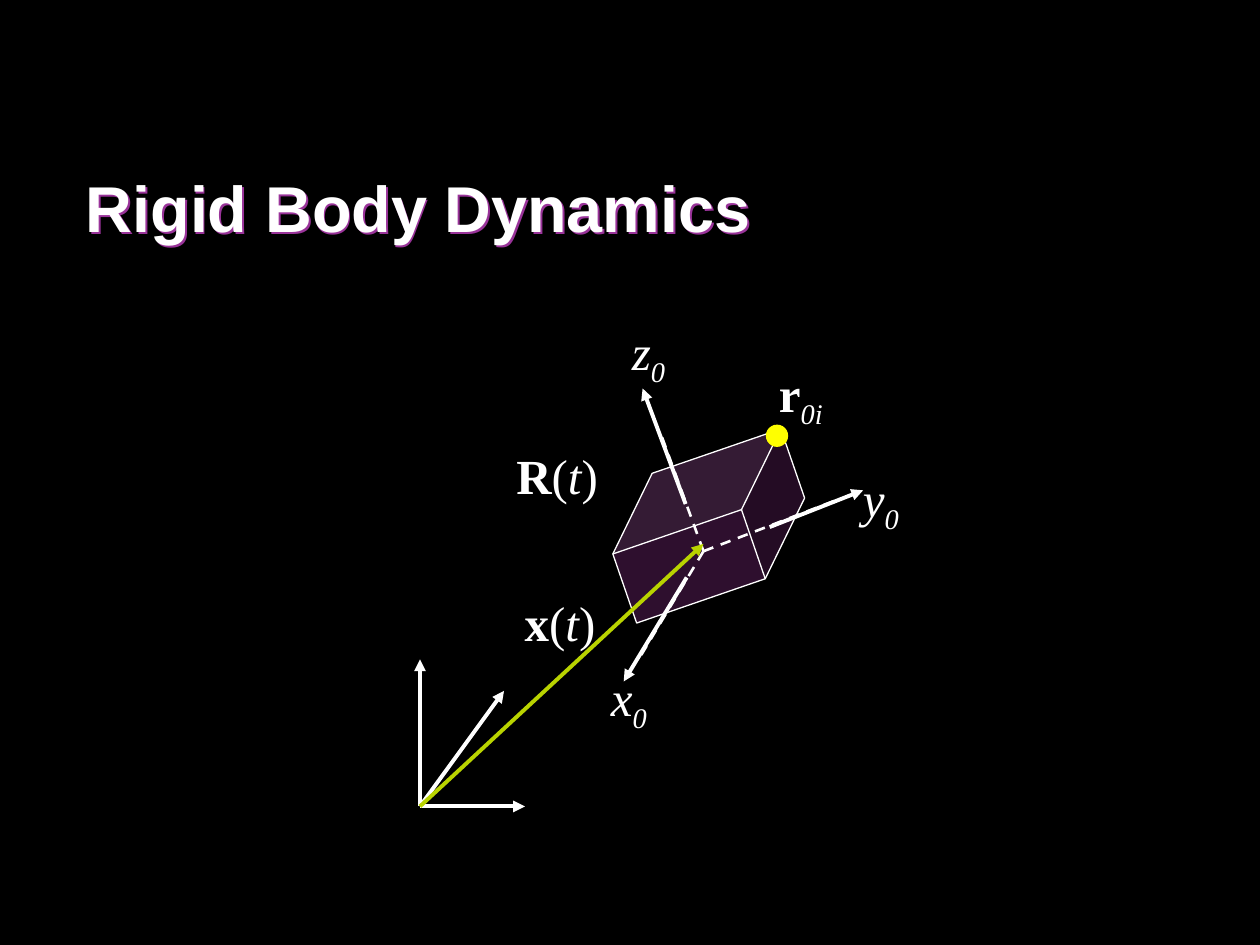
from typing import NamedTuple

from lxml import etree
from pptx import Presentation
from pptx import util as u
from pptx.dml.color import RGBColor
from pptx.enum import dml, shapes, text
from pptx.oxml.ns import qn

# Grid of 120 columns by 90 rows on a 10 x 7.5 inch slide
CELL = u.Inches(10) // 120
WHITE, YELLOW, LIME, PURPLE = "FFFFFF", "FFFF00", "B9D300", "993399"
SERIF = "Times New Roman"


class Point(NamedTuple):
    col: float
    row: float


class Box(NamedTuple):
    col: float
    row: float
    cols: float
    rows: float


class Axis(NamedTuple):
    hidden_end: Point
    arrow_start: Point
    arrow_end: Point


class Symbol(NamedTuple):
    wording: str
    bold: bool = False
    italic: bool = False
    subscript: bool = False


class Label(NamedTuple):
    box: Box
    symbols: tuple[Symbol, ...]


def grid(*lengths: float) -> list[int]:
    return [round(length * CELL) for length in lengths]


def rgb(colour: str) -> RGBColor:
    return RGBColor.from_string(colour)


def add_line(canvas, start: Point, end: Point, colour: str = WHITE, dashed: bool = False) -> None:
    """Draw a dashed hidden line or a solid arrow."""
    line = canvas.add_connector(shapes.MSO_CONNECTOR.STRAIGHT, *grid(*start, *end))
    line.line.color.rgb = rgb(colour)
    line.line.width = u.Pt(1.5 if dashed else 2.25)
    if dashed:
        line.line.dash_style = dml.MSO_LINE.DASH
    else:
        outline = line._element.spPr.find(qn("a:ln"))
        etree.SubElement(outline, qn("a:tailEnd"), type="triangle")
    etree.SubElement(line._element.spPr, qn("a:effectLst"))


def add_solid(canvas, kind, box: Box, fill: str, outline: str):
    solid = canvas.add_shape(kind, *grid(*box))
    solid.shadow.inherit = False
    solid.fill.solid()
    solid.fill.fore_color.rgb = rgb(fill)
    solid.line.color.rgb = rgb(outline)
    solid.line.width = u.Pt(0.75)
    return solid


def style(run, font: str, size: float, bold: bool, italic: bool = False) -> None:
    run.font.name, run.font.size = font, u.Pt(size)
    run.font.bold, run.font.italic = bold, italic
    run.font.color.rgb = rgb(WHITE)


def add_label(canvas, label: Label) -> None:
    frame = canvas.add_textbox(*grid(*label.box)).text_frame
    frame.word_wrap = False
    frame.auto_size = text.MSO_AUTO_SIZE.SHAPE_TO_FIT_TEXT
    for symbol in label.symbols:
        run = frame.paragraphs[0].add_run()
        run.text = symbol.wording
        style(run, SERIF, 28, symbol.bold, symbol.italic)
        if symbol.subscript:
            run._r.rPr.set("baseline", "-25000")


def add_title(canvas, wording: str, box: Box) -> None:
    title = canvas.add_textbox(*grid(*box))
    frame = title.text_frame
    frame.word_wrap = True
    frame.vertical_anchor = text.MSO_ANCHOR.MIDDLE
    frame.text = wording
    style(frame.paragraphs[0].runs[0], "Arial", 37, True)
    # Purple shadow behind the letters
    effects = etree.SubElement(title._element.spPr, qn("a:effectLst"))
    shadow = etree.SubElement(effects, qn("a:outerShdw"), dist=str(u.Pt(1.5)), dir="2700000")
    etree.SubElement(shadow, qn("a:srgbClr"), val=PURPLE)


def axis_name(letter: str) -> tuple[Symbol, ...]:
    return Symbol(letter, italic=True), Symbol("0", italic=True, subscript=True)


def function_of_time(name: str) -> tuple[Symbol, ...]:
    return Symbol(name, bold=True), Symbol("("), Symbol("t", italic=True), Symbol(")")


BODY_CENTRE = Point(67, 52.5)
BODY_AXES = (
    Axis(Point(61, 62.5), Point(65.4, 55), Point(59.4, 64.9)),
    Axis(Point(80, 47.5), Point(73.3, 50.2), Point(82.2, 46.7)),
    Axis(Point(63, 41.5), Point(65.3, 48), Point(61.2, 37)),
)
BODY_LABELS = (
    Label(Box(57, 63, 6.1, 6.8), axis_name("x")),
    Label(Box(81, 44, 6.1, 6.8), axis_name("y")),
    Label(Box(59, 30, 5.8, 6.8), axis_name("z")),
    Label(Box(73, 34, 7, 6.8), (Symbol("r", bold=True), Symbol("0i", italic=True, subscript=True))),
)
WORLD_ORIGIN = Point(40, 76.8)
WORLD_AXES = Point(40, 62.8), Point(50, 76.8), Point(48, 65.8)
STATE_LABELS = (
    Label(Box(48.8, 55.8, 9.1, 6.8), function_of_time("x")),
    Label(Box(48, 41.8, 10.2, 6.8), function_of_time("R")),
)


def draw_body(canvas) -> None:
    cube = add_solid(canvas, shapes.MSO_SHAPE.CUBE, Box(58, 43.6, 19, 13), PURPLE, WHITE)
    cube.adjustments[0] = 0.465
    cube.rotation = 341
    fill_colour = cube._element.spPr.find(qn("a:solidFill"))[0]
    etree.SubElement(fill_colour, qn("a:alpha"), val="30000")
    for axis in BODY_AXES:
        add_line(canvas, BODY_CENTRE, axis.hidden_end, dashed=True)
    for axis in BODY_AXES:
        add_line(canvas, axis.arrow_start, axis.arrow_end)
    add_solid(canvas, shapes.MSO_SHAPE.OVAL, Box(73, 40.5, 2, 2), YELLOW, YELLOW)
    for label in BODY_LABELS:
        add_label(canvas, label)


def main() -> None:
    deck = Presentation()
    deck.slide_width, deck.slide_height = grid(120, 90)
    slide = deck.slides.add_slide(deck.slide_layouts[6])
    slide.background.fill.solid()
    slide.background.fill.fore_color.rgb = rgb("000000")

    add_title(slide.shapes, "Rigid Body Dynamics", Box(7, 10, 110, 19.3))
    # Rigid body with its own frame
    draw_body(slide.shapes.add_group_shape().shapes)
    # World frame
    world = slide.shapes.add_group_shape().shapes
    for tip in WORLD_AXES:
        add_line(world, WORLD_ORIGIN, tip)
    # Position and orientation of the body
    add_line(slide.shapes, WORLD_ORIGIN, Point(67, 51.8), LIME)
    for label in STATE_LABELS:
        add_label(slide.shapes, label)
    deck.save("out.pptx")


if __name__ == "__main__":
    main()
